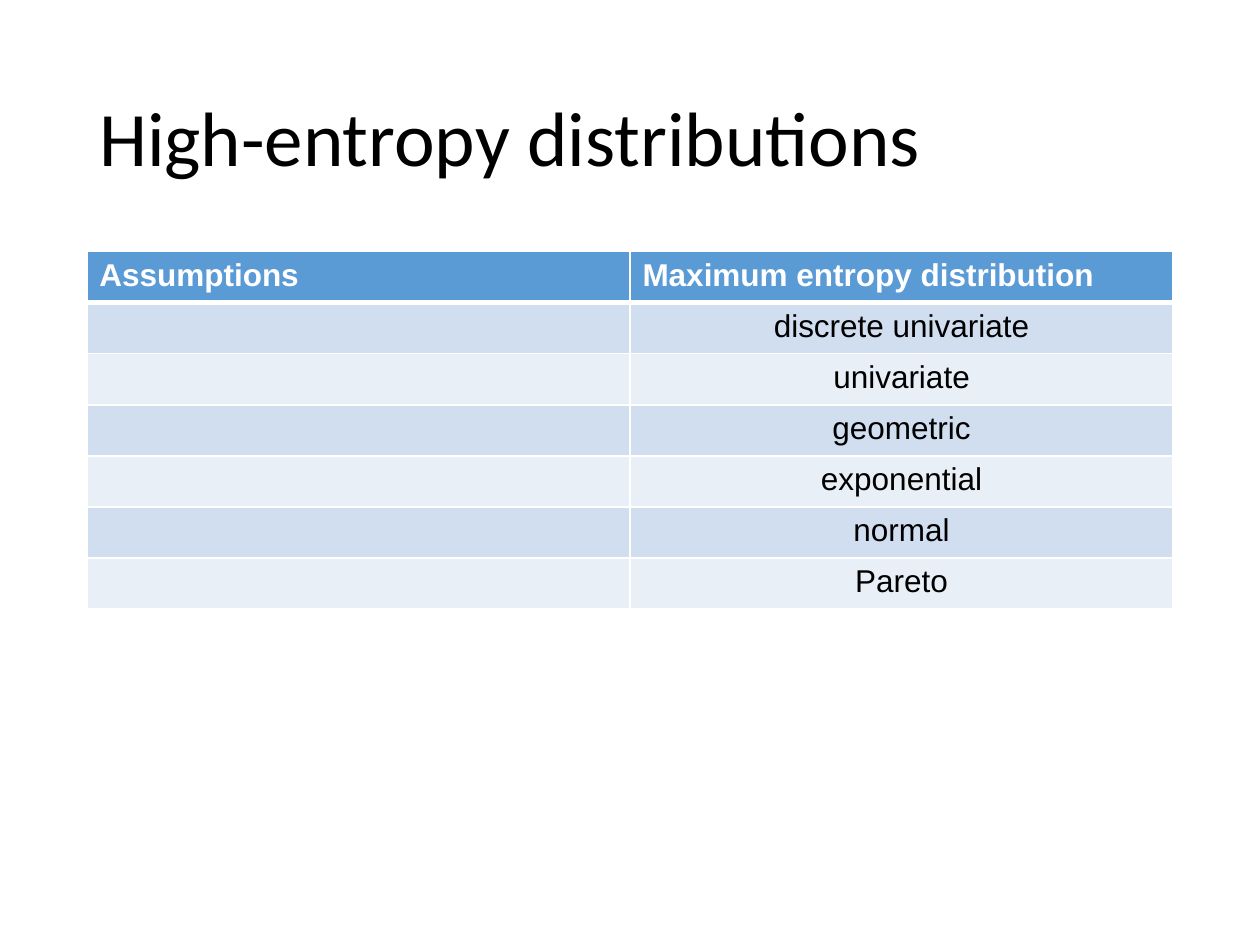
from lxml import etree
from pptx import Presentation
from pptx.dml.color import RGBColor
from pptx.enum import text
from pptx.oxml.ns import qn
from pptx.util import Cm, Pt

LEFT, WIDTH = Cm(1.75), Cm(21.9)
ROW_HEIGHT = Cm(1.03)
WHITE, BLACK = "FFFFFF", "000000"
HEADER_FILL = "5B9BD5"
BAND_FILLS = ("D0DEEF", "E9EFF7")
HEADINGS = ("Assumptions", "Maximum entropy distribution")
DISTRIBUTIONS = ("discrete univariate", "univariate", "geometric",
                 "exponential", "normal", "Pareto")


def rgb(value):
    return RGBColor.from_string(value)


def style(p, font, size, color, bold=False):
    p.font.name = font
    p.font.size = Pt(size)
    p.font.bold = bold
    p.font.color.rgb = rgb(color)


def add_title(slide, title):
    sp = slide.shapes.add_textbox(LEFT, Cm(1.01), WIDTH, Cm(3.68))
    tf = sp.text_frame
    tf.word_wrap = True
    tf.vertical_anchor = text.MSO_ANCHOR.MIDDLE
    p = tf.paragraphs[0]
    p.text = title
    p.line_spacing = 0.9
    style(p, "Calibri", 44, BLACK)


def set_borders(cell, **widths):
    """Draw white cell borders; widths are points by side, in L, R, T, B order."""
    tc_pr = cell._tc.get_or_add_tcPr()
    for side, width in widths.items():
        ln = etree.SubElement(tc_pr, qn(f"a:ln{side}"), w=str(Pt(width)))
        fill = etree.SubElement(ln, qn("a:solidFill"))
        etree.SubElement(fill, qn("a:srgbClr"), val=WHITE)


def fill_cell(cell, value, row):
    header = row == 0
    set_borders(cell, L=1, R=1, T=3 if row == 1 else 1, B=3 if header else 1)
    cell.fill.solid()
    cell.fill.fore_color.rgb = rgb(HEADER_FILL if header else BAND_FILLS[(row - 1) % 2])
    p = cell.text_frame.paragraphs[0]
    p.text = value
    p.alignment = text.PP_ALIGN.LEFT if header else text.PP_ALIGN.CENTER
    style(p, "Arial", 18, WHITE if header else BLACK, header)


def add_distribution_table(slide):
    rows = [HEADINGS] + [("", name) for name in DISTRIBUTIONS]
    table = slide.shapes.add_table(len(rows), len(HEADINGS), LEFT, Cm(5.07),
                                   WIDTH, ROW_HEIGHT * len(rows)).table
    for r, values in enumerate(rows):
        for c, value in enumerate(values):
            fill_cell(table.cell(r, c), value, r)


def main():
    prs = Presentation()
    prs.slide_width, prs.slide_height = Cm(25.4), Cm(19.05)
    slide = prs.slides.add_slide(prs.slide_layouts[6])
    add_title(slide, "High-entropy distributions")
    add_distribution_table(slide)
    prs.save("out.pptx")


if __name__ == "__main__":
    main()
